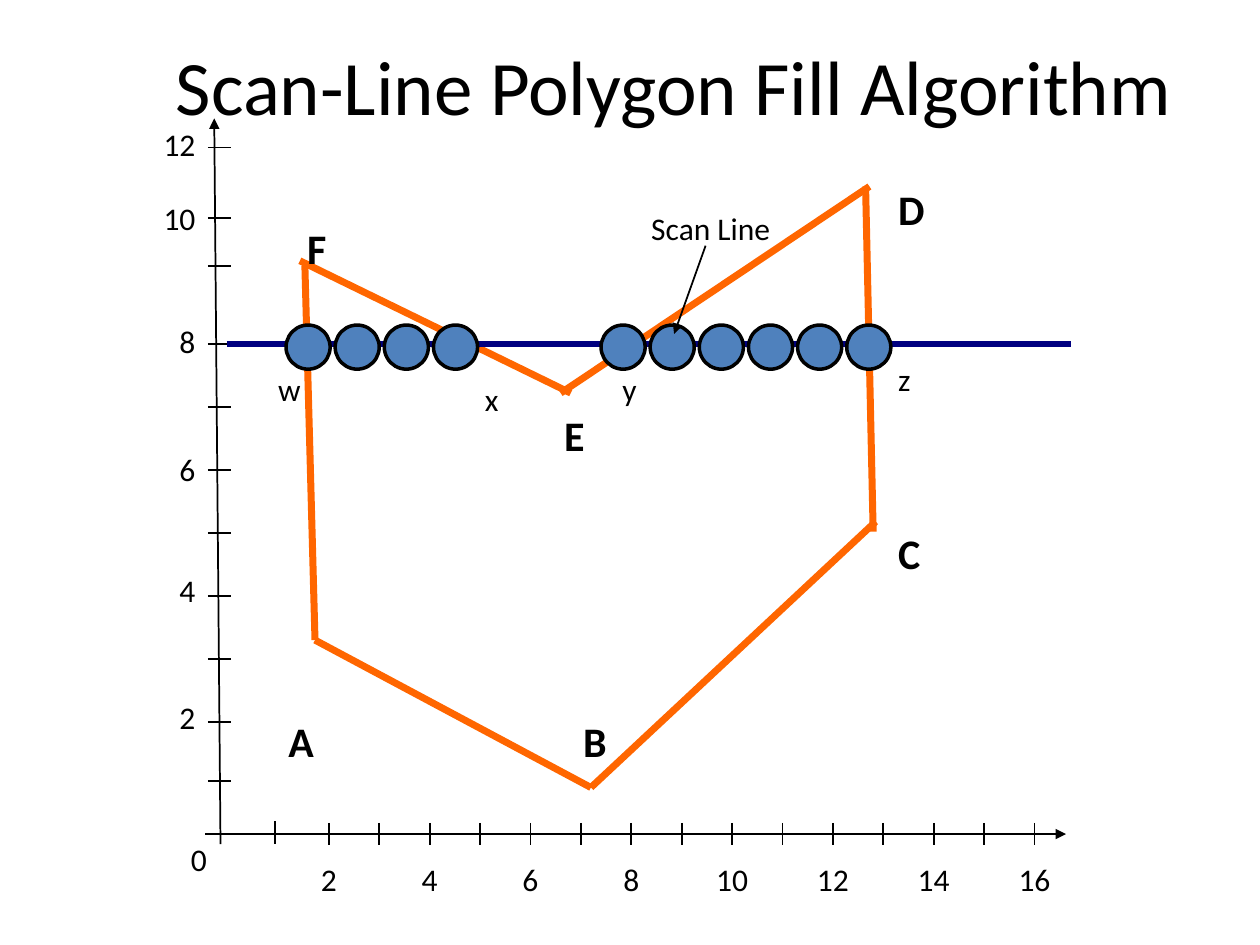
"""Build the scan-line polygon fill slide."""
from lxml import etree
from pptx import Presentation
from pptx.dml.color import RGBColor
from pptx.enum.shapes import MSO_CONNECTOR, MSO_SHAPE
from pptx.enum.text import MSO_ANCHOR, MSO_AUTO_SIZE, PP_ALIGN as Align
from pptx.oxml.ns import qn
from pptx.util import Pt

PX = 9144
BLACK, ORANGE, NAVY, BLUE = "000000", "FF6600", "000080", "4F81BD"
color = RGBColor.from_string

presentation = Presentation()
presentation.slide_width, presentation.slide_height = 1000 * PX, 750 * PX
slide = presentation.slides.add_slide(presentation.slide_layouts[5])


def add_line(x1, y1, x2, y2, line_color=BLACK, width=1, arrow=False):
    ends = [value * PX for value in (x1, y1, x2, y2)]
    connector = slide.shapes.add_connector(MSO_CONNECTOR.STRAIGHT, *ends)
    connector.line.color.rgb = color(line_color)
    connector.line.width = Pt(width)
    if arrow:
        etree.SubElement(connector.line._get_or_add_ln(), qn("a:tailEnd"), type="triangle")
    etree.SubElement(connector._element.spPr, qn("a:effectLst"))


def add_label(text, left, top, width, height=40, size=18, bold=False, align=Align.LEFT):
    box = slide.shapes.add_textbox(left * PX, top * PX, width * PX, height * PX)
    frame = box.text_frame
    frame.word_wrap = False
    frame.auto_size = MSO_AUTO_SIZE.SHAPE_TO_FIT_TEXT
    paragraph = frame.paragraphs[0]
    paragraph.alignment = align
    run = paragraph.add_run()
    run.text = text
    run.font.name, run.font.size, run.font.bold = "Calibri", Pt(size), bold
    run.font.color.rgb = color(BLACK)


title = slide.shapes.title
title.left, title.top, title.width, title.height = 70 * PX, 0, 930 * PX, 135 * PX
title.text_frame.vertical_anchor = MSO_ANCHOR.MIDDLE
paragraph = title.text_frame.paragraphs[0]
paragraph.alignment = Align.CENTER
run = paragraph.add_run()
run.text = "Scan-Line Polygon Fill Algorithm"
run.font.name, run.font.size = "Calibri", Pt(44)
run.font.color.rgb = color(BLACK)

polygon_edges = [
    (242, 211, 250, 508),
    (238, 207, 453, 312),
    (445, 312, 690, 148),
    (693, 422, 687, 148),
    (469, 625, 250, 508),
    (469, 625, 695, 414),
]
for edge in polygon_edges:
    add_line(*edge, ORANGE, 4)

add_line(175, 670, 170, 94, arrow=True)
add_line(163, 662, 846, 662, arrow=True)
for y in (117, 173, 211, *range(273, 574, 50), 620):
    add_line(165, y, 183, y)
add_line(218, 652, 218, 670)
for x in range(261, 822, 40):
    add_line(x, 653, x, 671)

for value, top in zip(range(2, 13, 2), (549, 448, 352, 251, 153, 94)):
    width = 34 if value < 10 else 48
    add_label(str(value), 165 - width, top, width, align=Align.RIGHT)
add_label("0", 140, 662, 34, align=Align.RIGHT)
for value in range(2, 17, 2):
    width = 34 if value < 10 else 48
    add_label(str(value), 181 + 40 * value - width // 2, 678, width, align=Align.CENTER)

add_line(180, 273, 850, 273, NAVY, 3)
for left in (*range(227, 345, 39), *range(477, 673, 39)):
    pixel = slide.shapes.add_shape(MSO_SHAPE.OVAL, left * PX, 258 * PX, 35 * PX, 35 * PX)
    pixel.shadow.inherit = False
    pixel.fill.solid()
    pixel.fill.fore_color.rgb = color(BLUE)
    pixel.line.color.rgb = color(BLACK)
    pixel.line.width = Pt(2)

add_label("Scan Line", 507, 161, 131)
add_line(560, 195, 535, 265, arrow=True)

vertices = [
    ("A", 219, 563, 41),
    ("B", 453, 563, 39),
    ("C", 703, 414, 38),
    ("D", 703, 141, 39),
    ("E", 438, 320, 37),
    ("F", 234, 172, 36),
]
for name, left, top, width in vertices:
    add_label(name, left, top, width, 50, 24, True)

crossings = [("w", 211, 289, 38), ("x", 375, 297, 31), ("y", 484, 289, 32), ("z", 703, 281, 30)]
for crossing in crossings:
    add_label(*crossing)

presentation.save("out.pptx")
